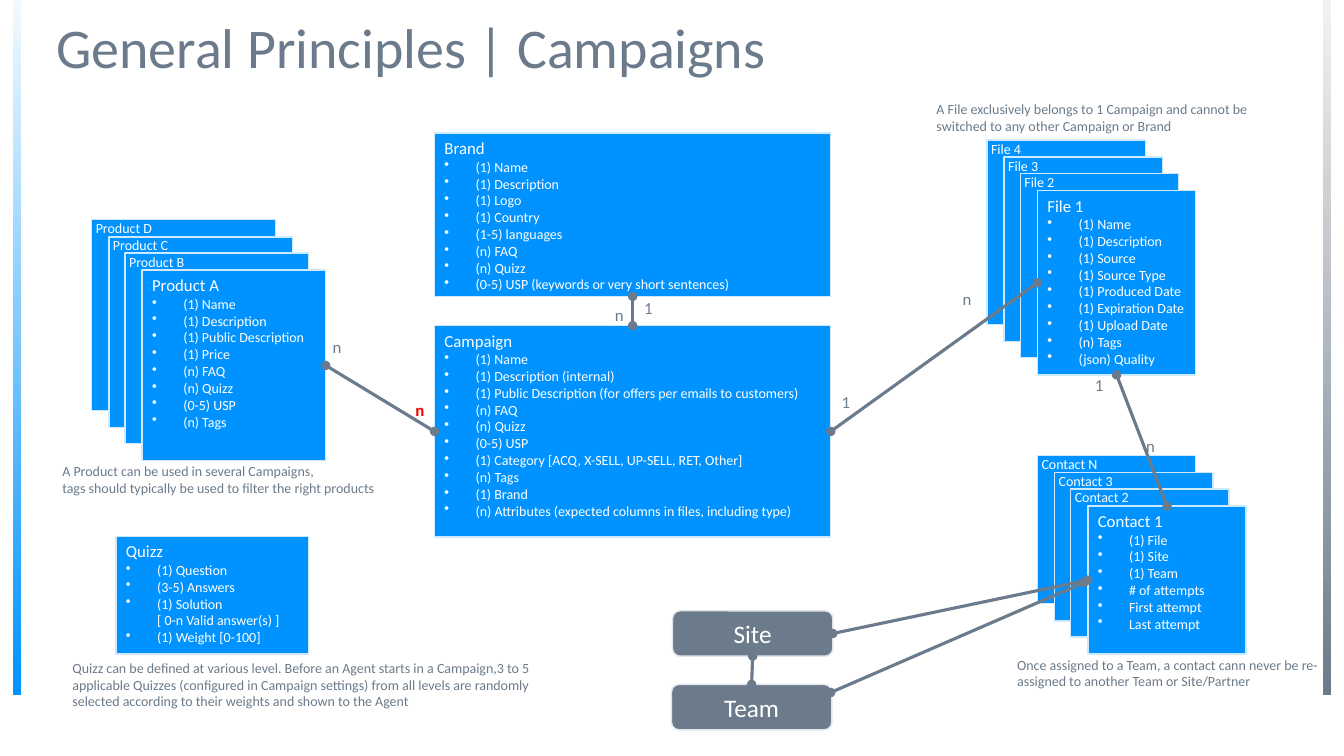
from lxml.etree import SubElement
from pptx import Presentation
from pptx.dml.color import RGBColor
from pptx.enum.shapes import MSO_CONNECTOR, MSO_SHAPE
from pptx.enum.text import MSO_ANCHOR, MSO_AUTO_SIZE, PP_ALIGN
from pptx.oxml.ns import qn
from pptx.util import Emu, Pt

# Content: lengths in px, 100 px to the inch
TITLE = ("General Principles | Campaigns", (46, 18, 1242, 63))
BARS = [(13, "pale blue", "blue"), (1312, "pale grey", "slate")]

# name: (box, titles of the cards behind from front to back, bullets)
CARDS = {
    "Product A": ((141, 268, 182, 189), ["Product B", "Product C", "Product D"], [
        "(1) Name", "(1) Description", "(1) Public Description", "(1) Price",
        "(n) FAQ", "(n) Quizz", "(0-5) USP", "(n) Tags"]),
    "Campaign": ((431, 323, 393, 210), [], [
        "(1) Name", "(1) Description (internal)",
        "(1) Public Description (for offers per emails to customers)",
        "(n) FAQ", "(n) Quizz", "(0-5) USP",
        "(1) Category [ACQ, X-SELL, UP-SELL, RET, Other]", "(n) Tags", "(1) Brand",
        "(n) Attributes (expected columns in files, including type)"]),
    "File 1": ((1029, 189, 157, 183), ["File 2", "File 3", "File 4"], [
        "(1) Name", "(1) Description", "(1) Source", "(1) Source Type",
        "(1) Produced Date", "(1) Expiration Date", "(1) Upload Date",
        "(n) Tags", "(json) Quality"]),
    "Contact 1": ((1079, 502, 157, 147), ["Contact 2", "Contact 3", "Contact N"], [
        "(1) File", "(1) Site", "(1) Team", "# of attempts", "First attempt",
        "Last attempt"]),
    "Brand": ((431, 132, 393, 162), [], [
        "(1) Name", "(1) Description", "(1) Logo", "(1) Country", "(1-5) languages",
        "(n) FAQ", "(n) Quizz", "(0-5) USP (keywords or very short sentences)"]),
    "Quizz": ((115, 532, 191, 117), [], [
        "(1) Question", "(3-5) Answers", "(1) Solution \v[ 0-n Valid answer(s) ]",
        "(1) Weight [0-100]"]),
}
BUTTONS = {"Site": (667, 606, 159, 45), "Team": (666, 679, 159, 45)}

# Each end is a (name, side) pair or a free (x, y) point
TOP, LEFT, BOTTOM, RIGHT = range(4)
LINKS = [
    (("Campaign", LEFT), ("Product A", RIGHT)),
    (("Campaign", RIGHT), ("File 1", LEFT)),
    (("Contact 1", TOP), ("File 1", BOTTOM)),
    (("Site", RIGHT), ("Contact 1", LEFT)),
    ((824, 687), (1075, 578)),
    (("Team", TOP), ("Site", BOTTOM)),
    (("Brand", BOTTOM), ("Campaign", TOP)),
]
LABELS = [
    ("n", 402, 392, "red"), ("n", 945, 282, "slate"), ("1", 825, 384, "slate"),
    ("n", 1127, 427, "slate"), ("1", 1076, 367, "slate"), ("1", 629, 290, "slate"),
    ("n", 600, 297, "slate"), ("n", 320, 329, "slate"),
]
NOTES = [
    ("A Product can be used in several Campaigns, \v"
     "tags should typically be used to filter the right products", (52, 454, 334, 44)),
    ("Quizz can be defined at various level. Before an Agent starts in a Campaign,3 to 5 "
     "applicable Quizzes (configured in Campaign settings) from all levels are randomly "
     "selected according to their weights and shown to the Agent", (62, 649, 487, 61)),
    ("Once assigned to a Team, a contact cann never be re-assigned to another Team "
     "or Site/Partner", (999, 646, 334, 44)),
    ("A File exclusively belongs to 1 Campaign and cannot be switched to any other "
     "Campaign or Brand", (919, 95, 334, 44)),
]
COLORS = {"blue": "0093FF", "slate": "6B7B8B", "white": "FFFFFF", "red": "FF0000",
          "pale blue": "F2FAFF", "pale grey": "F2F2F2",
          "card edge": "CCE9FF", "button edge": "E1E5E8"}
FONT = "Calibri"
STACK_STEP = 50 / 3


def px(length):
    return Emu(round(length * 9144))


def color(name):
    return RGBColor.from_string(COLORS[name])


def write(paragraph, text, size, color_name, bold=False):
    paragraph.text = text
    font = paragraph.font
    font.name, font.size, font.bold = FONT, Pt(size), bold
    font.color.rgb = color(color_name)


def add_box(preset, box, fill, edge):
    shape = slide.shapes.add_shape(preset, *map(px, box))
    shape.shadow.inherit = False
    shape.fill.solid()
    shape.fill.fore_color.rgb = color(fill)
    shape.line.color.rgb = color(edge)
    shape.line.width = Pt(1)
    return shape


def add_card(box, name, bullets, size):
    shape = add_box(MSO_SHAPE.RECTANGLE, box, "blue", "card edge")
    frame = shape.text_frame
    frame.vertical_anchor = MSO_ANCHOR.TOP
    write(frame.paragraphs[0], name, size, "white")
    for bullet in bullets:
        paragraph = frame.add_paragraph()
        write(paragraph, bullet, 10, "white")
        properties = paragraph._p.get_or_add_pPr()
        properties.set("marL", str(px(31)))
        properties.set("indent", str(px(-31)))
        mark = SubElement(properties, qn("a:buChar"))
        mark.set("char", "•")
        properties.insert(0, mark)
    for paragraph in frame.paragraphs:
        paragraph.alignment = PP_ALIGN.LEFT
    return shape


def add_text(text, box, size, color_name, wrap, bold=False):
    frame = slide.shapes.add_textbox(*map(px, box)).text_frame
    frame.word_wrap = wrap
    frame.auto_size = MSO_AUTO_SIZE.SHAPE_TO_FIT_TEXT
    write(frame.paragraphs[0], text, size, color_name, bold)


def add_link(start, end):
    points = [(0, 0) if point[0] in nodes else point for point in (start, end)]
    connector = slide.shapes.add_connector(
        MSO_CONNECTOR.STRAIGHT, *(px(value) for point in points for value in point))
    for point, connect in ((start, connector.begin_connect), (end, connector.end_connect)):
        if point[0] in nodes:
            connect(nodes[point[0]], point[1])
    connector.line.color.rgb = color("slate")
    connector.line.width = Pt(2.25)
    line = connector.line._get_or_add_ln()
    for tag in ("a:headEnd", "a:tailEnd"):
        SubElement(line, qn(tag)).set("type", "oval")
    SubElement(connector._element.spPr, qn("a:effectLst"))


presentation = Presentation()
presentation.slide_width, presentation.slide_height = px(1333), px(750)
slide = presentation.slides.add_slide(presentation.slide_layouts[5])

# Side bars
for left, upper, lower in BARS:
    bar = slide.shapes.add_shape(MSO_SHAPE.RECTANGLE, px(left), 0, px(8), px(690))
    bar.shadow.inherit = False
    bar.line.fill.background()
    bar.fill.gradient()
    bar.fill.gradient_angle = 270
    for stop, name, position in zip(bar.fill.gradient_stops, (upper, lower), (0, 1)):
        stop.color.rgb = color(name)
        stop.position = position

# Title
title = slide.shapes.title
title.left, title.top, title.width, title.height = map(px, TITLE[1])
title.text_frame.auto_size = MSO_AUTO_SIZE.NONE
title.text_frame.vertical_anchor = MSO_ANCHOR.MIDDLE
heading = title.text_frame.paragraphs[0]
write(heading, TITLE[0], 40, "slate")
heading.alignment = PP_ALIGN.LEFT
heading.line_spacing = 0.9

# Cards, each stack from back to front
nodes = {}
for name, (box, behind, bullets) in CARDS.items():
    left, top, width, height = box
    for depth, back_name in reversed(list(enumerate(behind, 1))):
        shift = round(depth * STACK_STEP)
        back = add_card((left - shift, top - shift, width, height), back_name, [], 10)
        frame = back.text_frame
        frame.margin_left = frame.margin_right = px(4)
        frame.margin_top = frame.margin_bottom = 0
    nodes[name] = add_card(box, name, bullets, 12)

# Site and Team
for name, box in BUTTONS.items():
    nodes[name] = add_box(MSO_SHAPE.ROUNDED_RECTANGLE, box, "slate", "button edge")
    write(nodes[name].text_frame.paragraphs[0], name, 18, "white")

# Links, cardinalities and notes
for start, end in LINKS:
    add_link(start, end)
for text, left, top, name in LABELS:
    add_text(text, (left, top, 29, 30), 12, name, wrap=False, bold=name == "red")
for text, box in NOTES:
    add_text(text, box, 10, "slate", wrap=True)

presentation.save("out.pptx")
